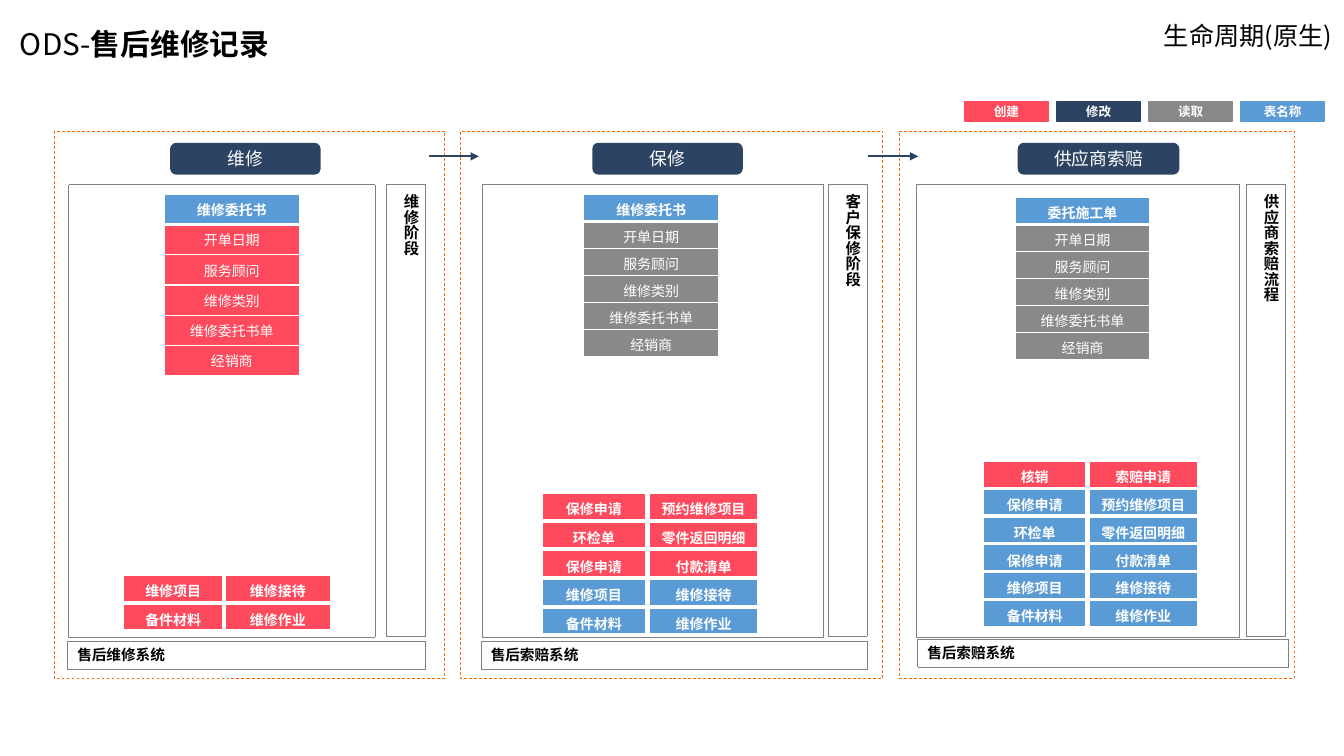
from lxml import etree
from pptx import Presentation
from pptx.dml.color import RGBColor
from pptx.enum.dml import MSO_LINE
from pptx.enum.shapes import MSO_CONNECTOR, MSO_SHAPE
from pptx.enum.text import MSO_ANCHOR, PP_ALIGN
from pptx.oxml.ns import qn
from pptx.util import Cm, Pt

RECTANGLE, ROUNDED = MSO_SHAPE.RECTANGLE, MSO_SHAPE.ROUNDED_RECTANGLE
STRAIGHT = MSO_CONNECTOR.STRAIGHT
DASH, DOT = MSO_LINE.DASH, MSO_LINE.ROUND_DOT
LEFT, CENTER = PP_ALIGN.LEFT, PP_ALIGN.CENTER
TOP, MIDDLE = MSO_ANCHOR.TOP, MSO_ANCHOR.MIDDLE

COLORS = {
    "create": "FF495C", "modify": "2C4364", "read": "898989", "table": "5B9BD5",
    "frame": "FF6600", "outline": "808080", "white": "FFFFFF", "black": "000000",
}
CJK_FONT = "Noto Sans CJK SC"
LEGEND = [("创建", "create"), ("修改", "modify"), ("读取", "read"), ("表名称", "table")]
FIELDS = ["开单日期", "服务顾问", "维修类别", "维修委托书单", "经销商"]

REPAIR_PAIRS = [("维修项目", "维修接待"), ("备件材料", "维修作业")]
WARRANTY_PAIRS = [("保修申请", "预约维修项目"), ("环检单", "零件返回明细"),
                  ("保修申请", "付款清单")]

# Lengths are in cm; parts are measured from the top left of the frame.
STAGES = [
    {"frame": (1.37, 3.3, 9.83, 13.8), "name": "维修", "pill": (2.95, 3.73),
     "body": (0.36, 7.72), "side": (8.36, "维修阶段"),
     "system": (0.33, 12.85, 9.02, "售后维修系统"),
     "fields": (2.77, 1.6, 0.76), "header": "维修委托书", "field_color": "create",
     "pairs": (1.74, 11.2, 0.72), "pair_columns": (0, 2.57), "pair_widths": (2.51, 2.64),
     "groups": [("create", REPAIR_PAIRS)]},
    {"frame": (11.61, 3.3, 10.64, 13.8), "name": "保修", "pill": (3.35, 3.73),
     "body": (0.53, 8.61), "side": (9.25, "客户保修阶段"),
     "system": (0.51, 12.85, 9.73, "售后索赔系统"),
     "fields": (3.1, 1.6, 0.68), "header": "维修委托书", "field_color": "read",
     "pairs": (2.06, 9.14, 0.72), "pair_columns": (0, 2.7), "pair_widths": (2.59, 2.72),
     "groups": [("create", WARRANTY_PAIRS), ("table", REPAIR_PAIRS)]},
    {"frame": (22.66, 3.3, 9.96, 13.8), "name": "供应商索赔", "pill": (3.02, 4.01),
     "body": (0.43, 8.15), "side": (8.74, "供应商索赔流程"),
     "system": (0.46, 12.8, 9.35, "售后索赔系统"),
     "fields": (2.92, 1.68, 0.68), "header": "委托施工单", "field_color": "read",
     "pairs": (2.12, 8.33, 0.7), "pair_columns": (0, 2.67), "pair_widths": (2.59, 2.72),
     "groups": [("create", [("核销", "索赔申请")]),
                ("table", WARRANTY_PAIRS + REPAIR_PAIRS)]},
]


def color(name):
    return RGBColor.from_string(COLORS[name])


def add_run(paragraph, text, size, text_color, font="Arial", bold=False):
    run = paragraph.add_run()
    run.text = text
    run.font.size = Pt(size)
    run.font.bold = bold
    run.font.name = font
    run.font.color.rgb = color(text_color)
    east_asian = etree.SubElement(run.font._element, qn("a:ea"))
    east_asian.set("typeface", CJK_FONT)


def add_box(slide, box, line, width, fill=None, dash=None, kind=RECTANGLE):
    shape = slide.shapes.add_shape(kind, *map(Cm, box))
    shape.shadow.inherit = False
    if fill:
        shape.fill.solid()
        shape.fill.fore_color.rgb = color(fill)
    else:
        shape.fill.background()
    shape.line.color.rgb = color(line)
    shape.line.width = Pt(width)
    if dash:
        shape.line.dash_style = dash
    return shape


def write_in_box(shape, text, size, text_color, align=CENTER, anchor=MIDDLE, bold=False):
    frame = shape.text_frame
    frame.word_wrap = True
    frame.vertical_anchor = anchor
    paragraph = frame.paragraphs[0]
    paragraph.alignment = align
    add_run(paragraph, text, size, text_color, bold=bold)


def set_borders(cell, bottom):
    properties = cell._tc.get_or_add_tcPr()
    for side, width in (("L", 1), ("R", 1), ("T", 1), ("B", bottom)):
        line = etree.SubElement(properties, qn(f"a:ln{side}"), w=str(Pt(width)))
        fill = etree.SubElement(line, qn("a:solidFill"))
        etree.SubElement(fill, qn("a:srgbClr"), val=COLORS["white"])


def add_list(slide, left, top, width, row_height, rows):
    """Add a one-column table; each row is (text, colour, is_header)."""
    table = slide.shapes.add_table(len(rows), 1, Cm(left), Cm(top), Cm(width),
                                   Cm(row_height * len(rows))).table
    table.horz_banding = False
    for index, (text, fill, is_header) in enumerate(rows):
        table.rows[index].height = Cm(row_height)
        cell = table.cell(index, 0)
        cell.margin_top, cell.margin_bottom = Cm(0.13), Cm(0.02)
        set_borders(cell, 3 if is_header else 1)
        cell.fill.solid()
        cell.fill.fore_color.rgb = color(fill)
        paragraph = cell.text_frame.paragraphs[0]
        paragraph.alignment = CENTER
        add_run(paragraph, text, 10, "white", "Calibri", is_header)


def add_stage(slide, stage):
    left, top, _, _ = stage["frame"]
    add_box(slide, stage["frame"], "frame", 0.5, dash=DASH)

    x, width = stage["body"]
    add_box(slide, (left + x, top + 1.35, width, 11.4), "outline", 0.25, dash=DOT)

    x, text = stage["side"]
    side = add_box(slide, (left + x, top + 1.35, 0.99, 11.38), "outline", 0.25, "white", DOT)
    write_in_box(side, text, 11, "black", LEFT, TOP, True)
    side.text_frame._txBody.bodyPr.set("vert", "eaVert")

    x, width = stage["pill"]
    pill = add_box(slide, (left + x, top + 0.33, width, 0.74), "modify", 1.75, "modify",
                   kind=ROUNDED)
    write_in_box(pill, stage["name"], 12.7, "white")

    x, y, width, text = stage["system"]
    system = add_box(slide, (left + x, top + y, width, 0.71), "outline", 0.25, dash=DOT)
    write_in_box(system, text, 10.5, "black", LEFT, TOP, True)

    x, y, row_height = stage["fields"]
    rows = [(stage["header"], "table", True)]
    rows += [(field, stage["field_color"], False) for field in FIELDS]
    add_list(slide, left + x, top + y, 3.4, row_height, rows)

    x, y, pitch = stage["pairs"]
    pairs = [(pair, fill) for fill, group in stage["groups"] for pair in group]
    for index, (pair, fill) in enumerate(pairs):
        for text, offset, width in zip(pair, stage["pair_columns"], stage["pair_widths"]):
            add_list(slide, left + x + offset, top + y + index * pitch, width, 0.68,
                     [(text, fill, True)])


def add_stage_arrow(slide, left, top, length):
    arrow = slide.shapes.add_connector(STRAIGHT, Cm(left), Cm(top), Cm(left + length), Cm(top))
    arrow.line.color.rgb = color("modify")
    arrow.line.width = Pt(1.5)
    etree.SubElement(arrow.line._get_or_add_ln(), qn("a:tailEnd"), type="triangle")
    etree.SubElement(arrow._element.spPr, qn("a:effectLst"))


def add_legend(slide, left, top, pitch):
    for index, (text, fill) in enumerate(LEGEND):
        key = add_box(slide, (left + index * pitch, top, 2.11, 0.48), fill, 1, fill)
        write_in_box(key, text, 9, "white", bold=True)


def add_heading(slide):
    title = slide.shapes.title
    title.left, title.top, title.width, title.height = map(Cm, (0.25, 0.53, 28.5, 1.17))
    title.text_frame.vertical_anchor = TOP
    paragraph = title.text_frame.paragraphs[0]
    paragraph.alignment = LEFT
    add_run(paragraph, "ODS-", 21.2, "black", CJK_FONT)
    add_run(paragraph, "售后维修记录", 21.2, "black", CJK_FONT, True)

    cycle = slide.shapes.add_textbox(*map(Cm, (29.08, 0.38, 4.78, 1.02)))
    cycle.text_frame.word_wrap = True
    add_run(cycle.text_frame.paragraphs[0], "生命周期(原生)", 18, "black", CJK_FONT)


def main():
    presentation = Presentation()
    presentation.slide_width, presentation.slide_height = Cm(33.87), Cm(19.05)
    slide = presentation.slides.add_slide(presentation.slide_layouts[5])
    add_heading(slide)
    add_legend(slide, 24.31, 2.57, 2.32)
    for stage in STAGES:
        add_stage(slide, stage)
    for left in (10.8, 21.87):
        add_stage_arrow(slide, left, 3.94, 1.27)
    presentation.save("out.pptx")


if __name__ == "__main__":
    main()
